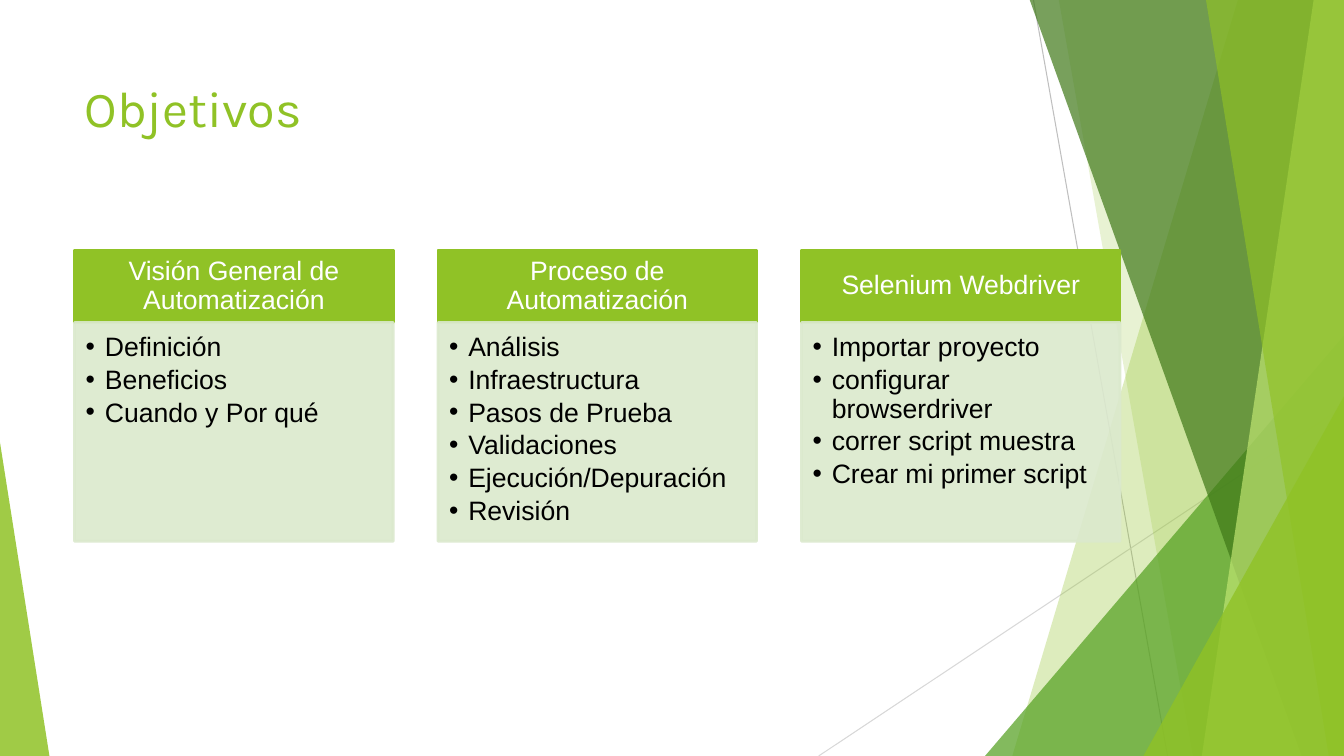
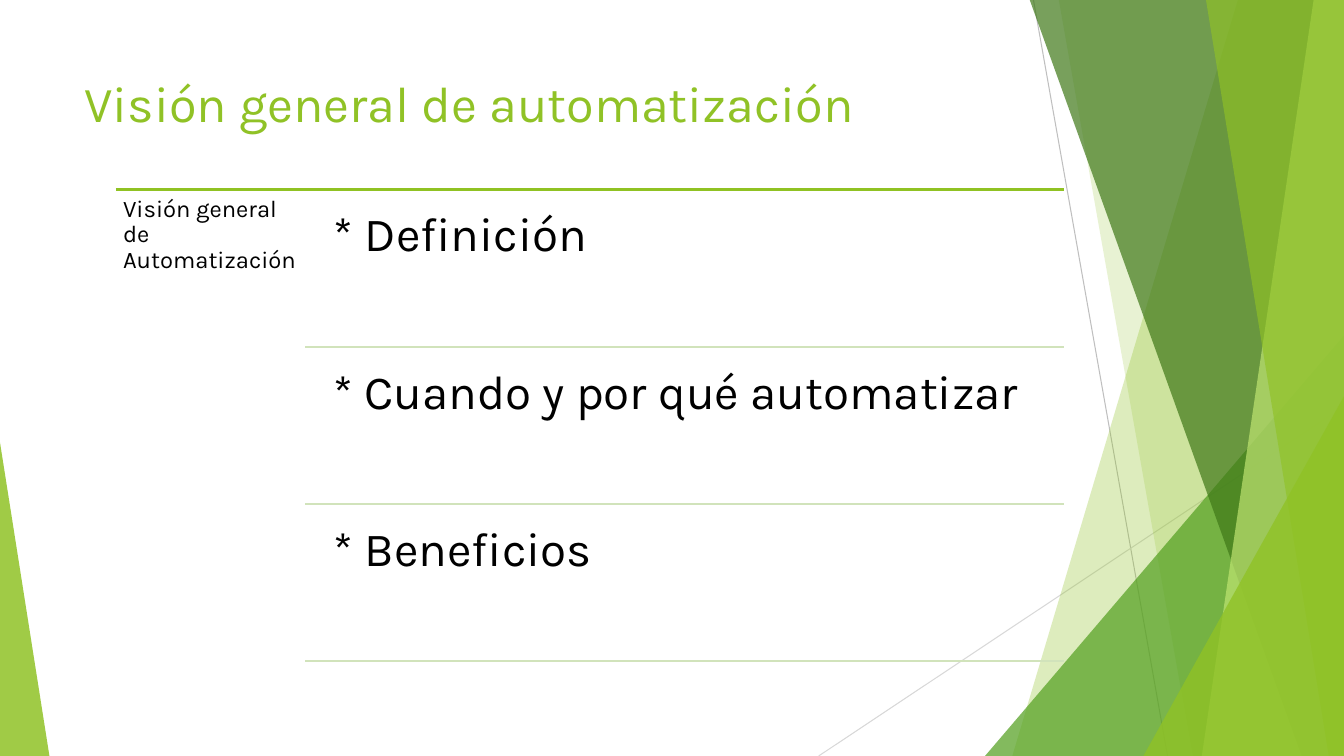
from dataclasses import dataclass
from typing import NamedTuple

from lxml import etree
from pptx import Presentation
from pptx.dml.color import RGBColor
from pptx.enum import shapes, text
from pptx.oxml.ns import qn
from pptx.util import Inches, Pt

COLORS = {
    "lime": "90C226",
    "rule": "90C223",
    "pale_rule": "D1E3BB",
    "green": "54A021",
    "forest": "3F7818",
    "light_lime": "BFE471",
    "card": "DBE9CD",
    "gray": "BFBFBF",
    "light_gray": "D8D8D8",
    "white": "FFFFFF",
    "black": "000000",
}
WIDTH, HEIGHT = 13.33, 7.5
FACET_TOP = -0.01


class Box(NamedTuple):
    left: float
    top: float
    width: float
    height: float

    def lengths(self) -> list:
        return [Inches(value) for value in self]


class Insets(NamedTuple):
    left: float
    top: float
    right: float
    bottom: float


class Style(NamedTuple):
    font: str
    size: float
    color: str


@dataclass(frozen=True)
class Rule:
    start: tuple
    end: tuple
    color: str
    weight: float = 1.5


@dataclass(frozen=True)
class Facet:
    """A band from the top edge to the bottom edge, closed by the right edge."""
    top_x: float
    bottom_x: float
    color: str
    opacity: int


@dataclass(frozen=True)
class Corner:
    """A right triangle whose apex sits at the given share of its width."""
    box: Box
    apex: float
    color: str
    opacity: int


@dataclass(frozen=True)
class Card:
    heading: str
    items: tuple


TITLE = Style("Karla", 36, "lime")
CARD_HEADING = Style("Arial", 19, "white")
CARD_ITEM = Style("Arial", 19, "black")
TOPIC = Style("Karla", 17, "black")
POINT = Style("Karla", 34, "black")

BACKDROP = (
    Rule((10.25, 0), (11.58, HEIGHT), "gray", 0.75),
    Rule((WIDTH, 4.03), (8.12, HEIGHT), "light_gray", 0.75),
    Facet(12.28, 10.04, "lime", 30),
    Facet(10.5, 11.83, "lime", 20),
    Corner(Box(9.77, 3.33, 3.56, 4.17), 1, "green", 72),
    Facet(10.21, 12.91, "forest", 70),
    Facet(13.03, 11.92, "light_lime", 70),
    Facet(11.96, 13.18, "lime", 65),
    Corner(Box(11.34, 3.93, 1.99, 3.57), 1, "lime", 80),
    Corner(Box(0, 4.39, 0.49, 3.11), 0, "lime", 85),
)

CARDS = (
    Card("Visión General de Automatización",
         ("Definición", "Beneficios", "Cuando y Por qué")),
    Card("Proceso de Automatización",
         ("Análisis", "Infraestructura", "Pasos de Prueba", "Validaciones",
          "Ejecución/Depuración", "Revisión")),
    Card("Selenium Webdriver",
         ("Importar proyecto", "configurar browserdriver",
          "correr script muestra", "Crear mi primer script")),
)
POINTS = ("* Definición", "* Cuando y por qué automatizar", "* Beneficios")


def rgb(name: str) -> RGBColor:
    return RGBColor.from_string(COLORS[name])


def paint(shape, color: str, opacity: int = 100, outline: float = 0) -> None:
    """Fill the shape, outline it in the same colour and set the opacity of both."""
    shape.shadow.inherit = False
    shape.fill.solid()
    shape.fill.fore_color.rgb = rgb(color)
    if outline:
        shape.line.color.rgb = rgb(color)
        shape.line.width = Pt(outline)
    else:
        shape.line.fill.background()
    if opacity < 100:
        for solid in shape._element.spPr.iter(qn("a:srgbClr")):
            etree.SubElement(solid, qn("a:alpha"), val=str(opacity * 1000))


def draw_rule(slide, rule: Rule) -> None:
    ends = [Inches(value) for value in (*rule.start, *rule.end)]
    line = slide.shapes.add_connector(shapes.MSO_CONNECTOR.STRAIGHT, *ends)
    line.line.color.rgb = rgb(rule.color)
    line.line.width = Pt(rule.weight)
    etree.SubElement(line._element.spPr, qn("a:effectLst"))


def draw_facet(slide, facet: Facet) -> None:
    builder = slide.shapes.build_freeform(Inches(facet.top_x), Inches(FACET_TOP))
    corners = ((WIDTH, FACET_TOP), (WIDTH, HEIGHT), (facet.bottom_x, HEIGHT))
    builder.add_line_segments([(Inches(x), Inches(y)) for x, y in corners])
    paint(builder.convert_to_shape(), facet.color, facet.opacity)


def draw_corner(slide, corner: Corner) -> None:
    triangle = slide.shapes.add_shape(
        shapes.MSO_SHAPE.ISOSCELES_TRIANGLE, *corner.box.lengths())
    triangle.adjustments[0] = corner.apex
    paint(triangle, corner.color, corner.opacity)


def add_bullet(paragraph) -> None:
    props = paragraph._p.get_or_add_pPr()
    props.set("marL", str(Inches(0.19)))
    props.set("indent", str(Inches(-0.19)))
    color = etree.SubElement(props, qn("a:buClr"))
    etree.SubElement(color, qn("a:srgbClr"), val=COLORS["black"])
    etree.SubElement(props, qn("a:buFont"), typeface="Arial")
    etree.SubElement(props, qn("a:buChar"), char="•")


def write(shape, lines: tuple, style: Style, insets: Insets, *,
          align=text.PP_ALIGN.LEFT, anchor=text.MSO_ANCHOR.TOP,
          spacing: float = 0.9, after: float = 0, bullets: bool = False) -> None:
    frame = shape.text_frame
    frame.word_wrap = True
    frame.vertical_anchor = anchor
    frame.margin_left, frame.margin_top, frame.margin_right, frame.margin_bottom = (
        Inches(value) for value in insets)
    for index, line in enumerate(lines):
        paragraph = frame.add_paragraph() if index else frame.paragraphs[0]
        paragraph.alignment = align
        paragraph.line_spacing = spacing
        paragraph.space_after = Pt(after)
        if bullets:
            add_bullet(paragraph)
        run = paragraph.add_run()
        run.text = line
        run.font.name = style.font
        run.font.size = Pt(style.size)
        run.font.color.rgb = rgb(style.color)


def add_text(slide, box: Box, line: str, style: Style, insets: Insets,
             **layout) -> None:
    write(slide.shapes.add_textbox(*box.lengths()), (line,), style, insets,
          **layout)


def add_slide(deck, title: str, title_height: float, title_inset: float):
    """Add a slide with the shared backdrop and title."""
    slide = deck.slides.add_slide(deck.slide_layouts[6])
    painters = {Rule: draw_rule, Facet: draw_facet, Corner: draw_corner}
    for part in BACKDROP:
        painters[type(part)](slide, part)
    add_text(slide, Box(0.74, 0.67, 9.4, title_height), title, TITLE,
             Insets(0.1, title_inset, 0.1, title_inset), spacing=1.0)
    return slide


def add_panel(slide, box: Box, color: str, opacity: int = 100):
    panel = slide.shapes.add_shape(shapes.MSO_SHAPE.RECTANGLE, *box.lengths())
    paint(panel, color, opacity, outline=2)
    return panel


def draw_card(slide, card: Card, left: float) -> None:
    top, width, heading_height = 2.48, 3.16, 0.72
    heading = add_panel(slide, Box(left, top, width, heading_height), "lime")
    write(heading, (card.heading,), CARD_HEADING, Insets(0.15, 0.08, 0.15, 0.08),
          align=text.PP_ALIGN.CENTER, anchor=text.MSO_ANCHOR.MIDDLE)
    body = add_panel(slide, Box(left, top + heading_height, width, 2.17),
                     "card", 90)
    write(body, card.items, CARD_ITEM, Insets(0.11, 0.11, 0.15, 0.17),
          after=2.85, bullets=True)


def build_objectives(deck) -> None:
    slide = add_slide(deck, "Objetivos", 1.44, 0.1)
    first_left, last_left = 0.74, 7.95
    pitch = (last_left - first_left) / (len(CARDS) - 1)
    for index, card in enumerate(CARDS):
        draw_card(slide, card, first_left + index * pitch)


def build_overview(deck) -> None:
    slide = add_slide(deck, "Visión general de automatización", 0.92, 0.05)
    left, right, top, topic_width = 1.15, 10.55, 1.88, 1.88
    points_left, indent, gap, pitch = left + topic_width, 0.14, 0.07, 1.56
    draw_rule(slide, Rule((left, top), (right, top), "rule"))
    add_text(slide, Box(left, top, topic_width, 4.75),
             "Visión general de Automatización", TOPIC,
             Insets(0.07, 0.07, 0.07, 0.07))
    for index, point in enumerate(POINTS):
        row_top = top + index * pitch
        row_bottom = row_top + pitch
        add_text(slide, Box(points_left + indent, row_top + gap,
                            right - points_left - indent, 1.48),
                 point, POINT, Insets(0.14, 0.14, 0.14, 0.14))
        draw_rule(slide, Rule((points_left, row_bottom), (right, row_bottom),
                              "pale_rule"))


def main() -> None:
    deck = Presentation()
    deck.slide_width, deck.slide_height = Inches(WIDTH), Inches(HEIGHT)
    build_objectives(deck)
    build_overview(deck)
    deck.save("out.pptx")


if __name__ == "__main__":
    main()
